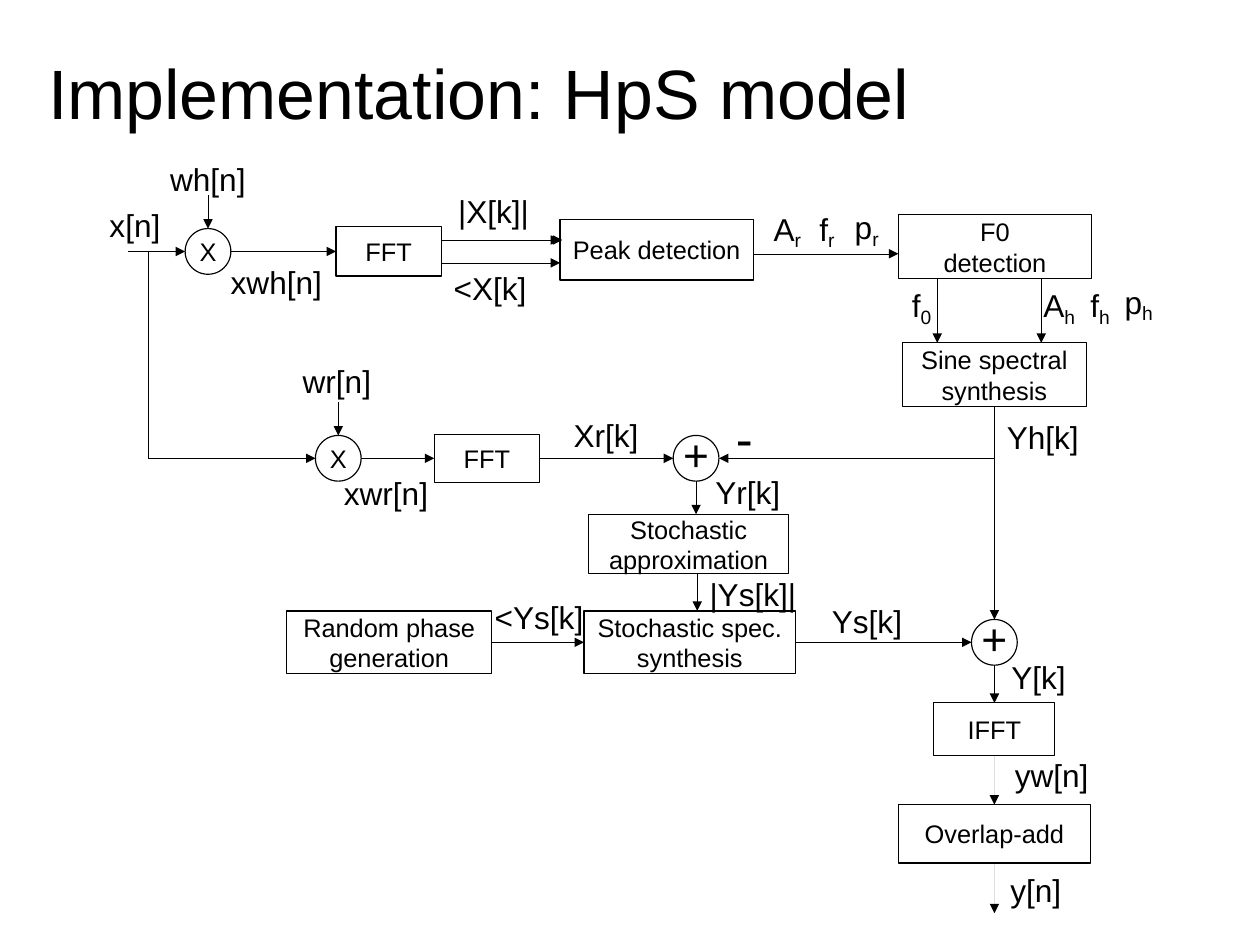
from dataclasses import dataclass
from typing import Any

from lxml import etree
from pptx import Presentation
from pptx import util as u
from pptx.dml.color import RGBColor
from pptx.enum import shapes, text
from pptx.oxml import ns

BLACK = RGBColor(0x00, 0x00, 0x00)
FONT = "Arial"
CELL = 0.1  # grid pitch in inches
NODE = 4  # diameter of an operator circle in cells
TOP, LEFT, BOTTOM, RIGHT = range(4)


@dataclass
class Region:
    """Part of the page whose contents are placed in cells from its corner."""
    page: Any
    left: float
    top: float

    def at(self, column, row):
        return (u.Inches((self.left + column) * CELL),
                u.Inches((self.top + row) * CELL))


def cells(count):
    return u.Inches(count * CELL)


def add_span(para, words, size):
    span = para.add_run()
    span.text = words
    span.font.size = u.Pt(size)
    span.font.name = FONT
    span.font.color.rgb = BLACK
    return span


def set_insets(frame, across, down):
    frame.margin_left = frame.margin_right = u.Inches(across)
    frame.margin_top = frame.margin_bottom = u.Inches(down)


def add_outline(region, kind, column, row, width, height):
    shape = region.page.shapes.add_shape(
        kind, *region.at(column, row), cells(width), cells(height))
    shape.shadow.inherit = False
    shape.fill.background()
    shape.line.color.rgb = BLACK
    shape.line.width = u.Pt(0.75)
    shape.text_frame.vertical_anchor = text.MSO_ANCHOR.MIDDLE
    return shape


def add_block(region, lines, column, row, width, height):
    box = add_outline(region, shapes.MSO_SHAPE.RECTANGLE, column, row, width, height)
    frame = box.text_frame
    set_insets(frame, 0.1, 0.05)
    frame.word_wrap = True
    for index, words in enumerate(lines.split("\n")):
        para = frame.add_paragraph() if index else frame.paragraphs[0]
        para.alignment = text.PP_ALIGN.CENTER
        add_span(para, words, 16)
    return box


def add_node(region, sign, column, row):
    node = add_outline(region, shapes.MSO_SHAPE.OVAL, column, row, NODE, NODE)
    frame = node.text_frame
    set_insets(frame, 0, 0)
    frame.word_wrap = False
    para = frame.paragraphs[0]
    para.alignment = text.PP_ALIGN.CENTER
    if sign == "+":
        para.line_spacing = 0.8
    add_span(para, sign, 27.9 if sign == "+" else 16)
    return node


def add_label(region, words, column, row, width, size=19.9):
    """An underscore in words starts a subscript."""
    main, _, lower = words.partition("_")
    height = 6 if size > 20 else 4.5 if lower else 4.2
    label = region.page.shapes.add_textbox(
        *region.at(column, row), cells(width), cells(height))
    frame = label.text_frame
    set_insets(frame, 0.1, 0.05)
    frame.word_wrap = False
    frame.auto_size = text.MSO_AUTO_SIZE.SHAPE_TO_FIT_TEXT
    para = frame.paragraphs[0]
    add_span(para, main, size)
    if lower:
        span = add_span(para, lower, 20.9)
        span.font._element.set("baseline", "-20000")


def add_arrow(region, start, end, head=True):
    """Each end is a (column, row) point or a (shape, side) pair."""
    points = [region.at(*spot) if isinstance(spot[0], (int, float)) else None
              for spot in (start, end)]
    begin, finish = (point or (0, 0) for point in points)
    arrow = region.page.shapes.add_connector(
        shapes.MSO_CONNECTOR.STRAIGHT, *begin, *finish)
    if points[0] is None:
        arrow.begin_connect(*start)
    if points[1] is None:
        arrow.end_connect(*end)
    arrow.line.color.rgb = BLACK
    outline = arrow.line._get_or_add_ln()
    outline.set("w", "0")  # hairline
    if head:
        etree.SubElement(outline, ns.qn("a:tailEnd"), type="triangle")
    etree.SubElement(arrow._element.spPr, ns.qn("a:effectLst"))


def add_title(page):
    title = page.shapes.title
    title.left, title.top = u.Inches(0.42), u.Inches(0.11)
    title.width, title.height = u.Inches(9.92), u.Inches(1.38)
    frame = title.text_frame
    set_insets(frame, 0, 0)
    frame.auto_size = text.MSO_AUTO_SIZE.NONE
    frame.vertical_anchor = text.MSO_ANCHOR.MIDDLE
    para = frame.paragraphs[0]
    para.alignment = text.PP_ALIGN.LEFT
    add_span(para, "Implementation: HpS model", 44)


def draw_analysis(region):
    window = add_node(region, "X", 8.2, 7)
    fft = add_block(region, "FFT", 21.4, 6.85, 9.2, 4.3)
    add_block(region, "Peak detection", 41, 6.2, 16.9, 5.3)
    for words, column, row, width in (
            ("x[n]", 0.6, 4.5, 6.6), ("wh[n]", 5.9, 0.5, 8.6),
            ("xwh[n]", 11.2, 9.5, 10), ("|X[k]|", 31.1, 3.3, 8.4),
            ("<X[k]", 30.7, 10, 8.5), ("A_r", 58.7, 4.7, 4.6),
            ("f_r", 62.7, 4.7, 3.5), ("p_r", 65.8, 4.6, 4.3)):
        add_label(region, words, column, row, width)
    add_arrow(region, (3.2, 9), (window, LEFT))
    add_arrow(region, (10.2, 4.1), (window, TOP))
    add_arrow(region, (window, RIGHT), (fft, LEFT))
    for start, end, row in ((30.6, 41, 8), (30.9, 41.2, 8), (30.6, 41, 10), (57.9, 70.6, 9.2)):
        add_arrow(region, (start, row), (end, row))


def draw_harmonics(region):
    add_block(region, "F0\ndetection", 0.6, 0.8, 16.9, 5.6)
    sines = add_block(region, "Sine spectral\nsynthesis", 0.95, 12, 16.1, 5.6)
    for words, column, row, width in (
            ("f_0", 0.8, 6.4, 3.9), ("A_h", 12.3, 6.4, 5), ("f_h", 16.4, 6.4, 3.9),
            ("p_h", 19.4, 6.1, 4.6), ("Yh[k]", 9.1, 18.1, 8.5)):
        add_label(region, words, column, row, width)
    for column in (4, 13.1):
        add_arrow(region, (column, 6.4), (column, 12))
    return sines


def draw_residual(region):
    window = add_node(region, "X", 2.6, 7.1)
    fft = add_block(region, "FFT", 13, 7, 9.2, 4.2)
    difference = add_node(region, "+", 33.9, 7.1)
    for words, column, row, width in (
            ("wr[n]", 0.5, 0.2, 8), ("xwr[n]", 4.1, 10, 9.4),
            ("Xr[k]", 24.2, 4.9, 8.6), ("Yr[k]", 36.6, 9.9, 8.5)):
        add_label(region, words, column, row, width)
    add_label(region, "-", 38.4, 4.1, 5.4, size=32)
    # Branch from the input signal
    add_arrow(region, (-12, -9), (-12, 9.1), head=False)
    add_arrow(region, (-12, 9.1), (window, LEFT))
    add_arrow(region, (4.6, 4.2), (window, TOP))
    add_arrow(region, (window, RIGHT), (fft, LEFT))
    add_arrow(region, (fft, RIGHT), (difference, LEFT))
    add_arrow(region, (difference, BOTTOM), (35.9, 14))
    add_arrow(region, (62, 9.1), (difference, RIGHT))


def draw_stochastic(region):
    add_block(region, "Stochastic approximation", 26.5, 0, 17.5, 5.2)
    phase = add_block(region, "Random phase generation", 0.1, 8.45, 17.9, 5.5)
    noise = add_block(region, "Stochastic spec. synthesis", 26.1, 8.45, 18.5, 5.5)
    for words, column, row, width in (
            ("<Ys[k]", 17.3, 6.8, 10), ("|Ys[k]|", 36.1, 4.8, 9.6),
            ("Ys[k]", 46.8, 7.2, 8.5)):
        add_label(region, words, column, row, width)
    add_arrow(region, (36, 5.2), (36, 8.45))
    add_arrow(region, (phase, RIGHT), (noise, LEFT))
    return noise


def draw_output(region, sines, noise):
    total = add_node(region, "+", 7, 0.2)
    ifft = add_block(region, "IFFT", 3.7, 7.5, 10.6, 4.6)
    overlap = add_block(region, "Overlap-add", 0.6, 16.4, 16.8, 5.1)
    for words, column, row, width in (
            ("Y[k]", 9.5, 3.1, 8.5), ("yw[n]", 9.8, 11.6, 10.1), ("y[n]", 9.4, 21.7, 8.1)):
        add_label(region, words, column, row, width)
    add_arrow(region, (sines, BOTTOM), (total, TOP))
    add_arrow(region, (noise, RIGHT), (total, LEFT))
    add_arrow(region, (total, BOTTOM), (ifft, TOP))
    add_arrow(region, (ifft, BOTTOM), (overlap, TOP))
    add_arrow(region, (overlap, BOTTOM), (9, 25.9))


def main():
    deck = Presentation()
    deck.slide_width, deck.slide_height = u.Cm(28), u.Cm(21)
    page = deck.slides.add_slide(deck.slide_layouts[5])
    add_title(page)
    draw_analysis(Region(page, 8, 13))
    sines = draw_harmonics(Region(page, 78, 18))
    draw_residual(Region(page, 25, 31))
    noise = draw_stochastic(Region(page, 25, 45))
    draw_output(Region(page, 78, 54), sines, noise)
    deck.save("out.pptx")


if __name__ == "__main__":
    main()
